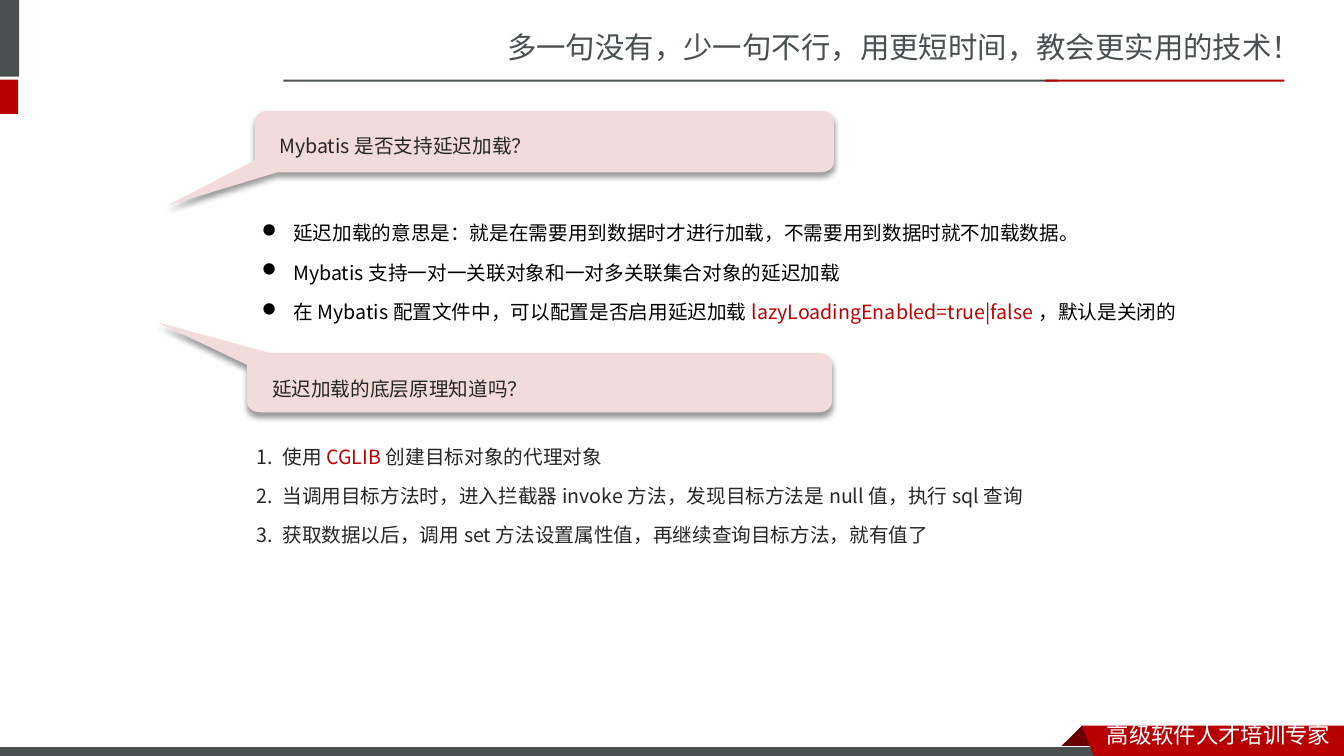
"""Build a slide of two questions and answers on lazy loading in Mybatis."""
import math

from lxml import etree
from pptx import Presentation
from pptx.dml.color import RGBColor
from pptx.enum.shapes import MSO_SHAPE
from pptx.enum.text import MSO_ANCHOR, MSO_AUTO_SIZE, PP_ALIGN
from pptx.oxml.ns import qn
from pptx.util import Inches, Pt

RECTANGLE = MSO_SHAPE.RECTANGLE
TOP = MSO_ANCHOR.TOP
NO_AUTOFIT = MSO_AUTO_SIZE.NONE
LEFT = PP_ALIGN.LEFT

SLATE = RGBColor(0x49, 0x50, 0x4F)
RED = RGBColor(0xB6, 0x00, 0x04)
DARK_RED = RGBColor(0x68, 0x00, 0x00)
HIGHLIGHT = RGBColor(0xC0, 0x00, 0x00)
PINK = RGBColor(0xF2, 0xDC, 0xDB)
INK = RGBColor(0x26, 0x26, 0x26)
BLACK = RGBColor(0x00, 0x00, 0x00)
WHITE = RGBColor(0xFF, 0xFF, 0xFF)

BRAND_FONT = "Noto Sans CJK SC"
BODY_FONT = "Noto Sans CJK JP"
BODY_LINE = Pt(28)

BARS = [
    (-0.06, 0, 0.25, 0.76, SLATE),
    (-0.06, 0.79, 0.24, 0.34, RED),
    (2.81, 0.79, 7.68, 0.02, SLATE),
    (10.37, 0.79, 2.37, 0.02, RED),
]
RIBBON_FOLD = [(10.73, 7.2), (10.95, 7.42), (10.94, 7.43), (10.52, 7.43), (10.51, 7.42)]
RIBBON = [(10.73, 7.2), (13.33, 7.2), (13.33, 7.54), (10.86, 7.53)]

LAZY_POINTS = [
    ["延迟加载的意思是：就是在需要用到数据时才进行加载，不需要用到数据时就不加载数据。"],
    ["Mybatis支持一对一关联对象和一对多关联集合对象的延迟加载"],
    ["在Mybatis配置文件中，可以配置是否启用延迟加载", "lazyLoadingEnabled=true|false", "，默认是关闭的"],
]
PROXY_STEPS = [
    ["1. 使用", "CGLIB", "创建目标对象的代理对象"],
    ["2. 当调用目标方法时，进入拦截器invoke方法，发现目标方法是null值，执行sql查询"],
    ["3. 获取数据以后，调用set方法设置属性值，再继续查询目标方法，就有值了"],
]


def paint(shape, color):
    """Give a shape a flat fill without line or shadow."""
    shape.shadow.inherit = False
    shape.fill.solid()
    shape.fill.fore_color.rgb = color
    shape.line.fill.background()


def add_bar(page, left, top, width, height, color):
    """Add a flat rectangle."""
    bar = page.shapes.add_shape(
        RECTANGLE, Inches(left), Inches(top), Inches(width), Inches(height))
    paint(bar, color)
    return bar


def add_outline(page, points, color):
    """Add a closed flat outline through points in inches."""
    corners = [(Inches(x), Inches(y)) for x, y in points]
    builder = page.shapes.build_freeform(*corners[0])
    builder.add_line_segments(corners[1:], close=True)
    outline = builder.convert_to_shape()
    paint(outline, color)
    return outline


def add_shadow(shape):
    """Drop a soft shadow straight below a shape."""
    effects = shape._element.spPr.find(qn("a:effectLst"))
    shadow = etree.SubElement(
        effects, qn("a:outerShdw"), blurRad=str(Pt(4)), dist=str(Pt(3)),
        dir="5400000", algn="t", rotWithShape="0")
    black = etree.SubElement(shadow, qn("a:srgbClr"), val="000000")
    etree.SubElement(black, qn("a:alpha"), val="40000")


def round_corner(center_x, center_y, radius_x, radius_y, start):
    """Return the points of a quarter ellipse from a start angle in degrees."""
    angles = [math.radians(start + 15 * step) for step in range(7)]
    return [(center_x + radius_x * math.cos(angle), center_y + radius_y * math.sin(angle))
            for angle in angles]


def add_callout(page, left, right, far, near, tip):
    """Add a rounded callout whose tail leaves the left end of its near edge."""
    side = 1 if near > far else -1
    radius_x, radius_y = 0.13, 0.1 * side
    points = [
        *round_corner(left + radius_x, far + radius_y, radius_x, radius_y, 180),
        *round_corner(right - radius_x, far + radius_y, radius_x, radius_y, 270),
        *round_corner(right - radius_x, near - radius_y, radius_x, radius_y, 0),
        (left + 0.22, near),
        tip,
        (left, near - 0.12 * side),
    ]
    add_shadow(add_outline(page, points, PINK))


def set_font(para, name, size, color):
    """Set one font for Latin and East Asian text of a paragraph."""
    font = para.font
    font.name = name
    font.size = Pt(size)
    font.color.rgb = color
    latin = font._element.find(qn("a:latin"))
    latin.addnext(etree.Element(qn("a:ea"), typeface=name))


def add_bullet(para):
    """Give a paragraph a round bullet with a hanging indent."""
    properties = para._p.get_or_add_pPr()
    properties.set("marL", str(Inches(0.31)))
    properties.set("indent", str(Inches(-0.31)))
    etree.SubElement(properties, qn("a:buFont"), typeface="Wingdings", charset="2")
    etree.SubElement(properties, qn("a:buChar"), char="l")


def add_text(page, left, top, width, height, lines, size=14, name=BODY_FONT,
             color=INK, spacing=BODY_LINE, bulleted=False):
    """Add a text box; every second span of a line is highlighted."""
    box = page.shapes.add_textbox(Inches(left), Inches(top), Inches(width), Inches(height))
    frame = box.text_frame
    frame.word_wrap = True
    for index, spans in enumerate(lines):
        para = frame.add_paragraph() if index else frame.paragraphs[0]
        para.line_spacing = spacing
        if bulleted:
            add_bullet(para)
        set_font(para, name, size, color)
        for position, words in enumerate(spans):
            span = para.add_run()
            span.text = words
            if position % 2:
                span.font.color.rgb = HIGHLIGHT


def set_title(page, words):
    """Place and format the title above the rule."""
    title = page.shapes.title
    title.left, title.top = Inches(4.93), Inches(0.24)
    title.width, title.height = Inches(8.41), Inches(0.52)
    frame = title.text_frame
    frame.text = words
    frame.word_wrap = True
    frame.auto_size = NO_AUTOFIT
    frame.vertical_anchor = TOP
    para = frame.paragraphs[0]
    para.alignment = LEFT
    set_font(para, BRAND_FONT, 21, SLATE)


def main():
    """Build and save the slide."""
    deck = Presentation()
    deck.slide_width, deck.slide_height = Inches(13.33), Inches(7.5)
    page = deck.slides.add_slide(deck.slide_layouts[5])

    set_title(page, "多一句没有，少一句不行，用更短时间，教会更实用的技术！")
    for bar in BARS:
        add_bar(page, *bar)
    add_outline(page, RIBBON_FOLD, DARK_RED)
    footer = add_bar(page, -0.01, 7.41, 11, 0.12, SLATE)
    footer.line.color.rgb = WHITE
    footer.line.width = Pt(0.75)
    add_outline(page, RIBBON, RED)
    add_text(page, 10.88, 7.11, 2.45, 0.37, [["高级软件人才培训专家"]],
             size=16, name=BRAND_FONT, color=WHITE, spacing=1.0)

    add_callout(page, 2.53, 8.27, 1.1, 1.71, (1.66, 2.04))
    add_text(page, 2.67, 1.12, 6.61, 0.47, [["Mybatis是否支持延迟加载？"]])
    add_text(page, 2.5, 1.99, 10.34, 1.74, LAZY_POINTS, color=BLACK, bulleted=True)

    add_callout(page, 2.45, 8.25, 4.09, 3.5, (1.57, 3.2))
    add_text(page, 2.6, 3.53, 6.61, 0.47, [["延迟加载的底层原理知道吗？"]])
    add_text(page, 2.45, 4.21, 10.26, 1.23, PROXY_STEPS)

    deck.save("out.pptx")


if __name__ == "__main__":
    main()
